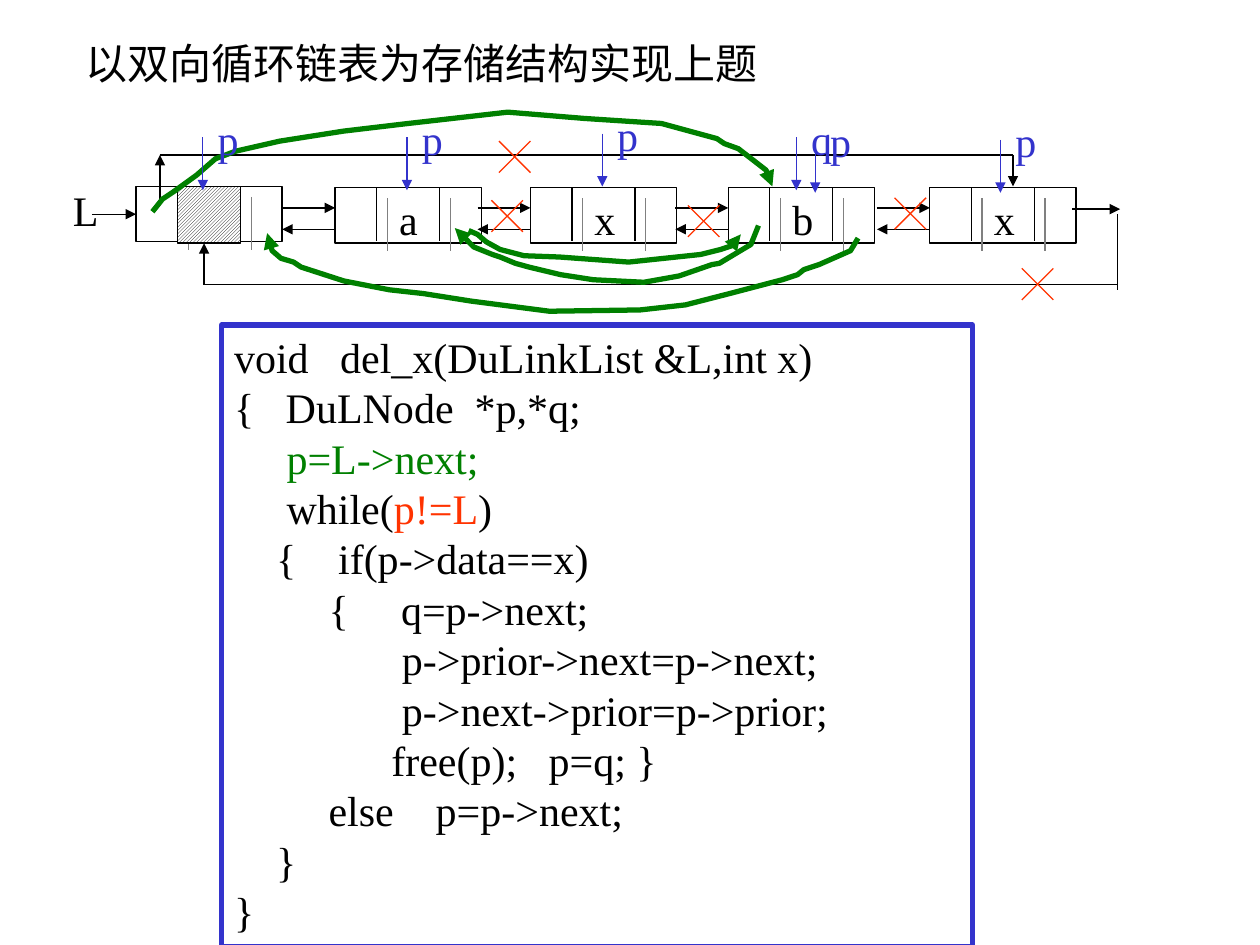
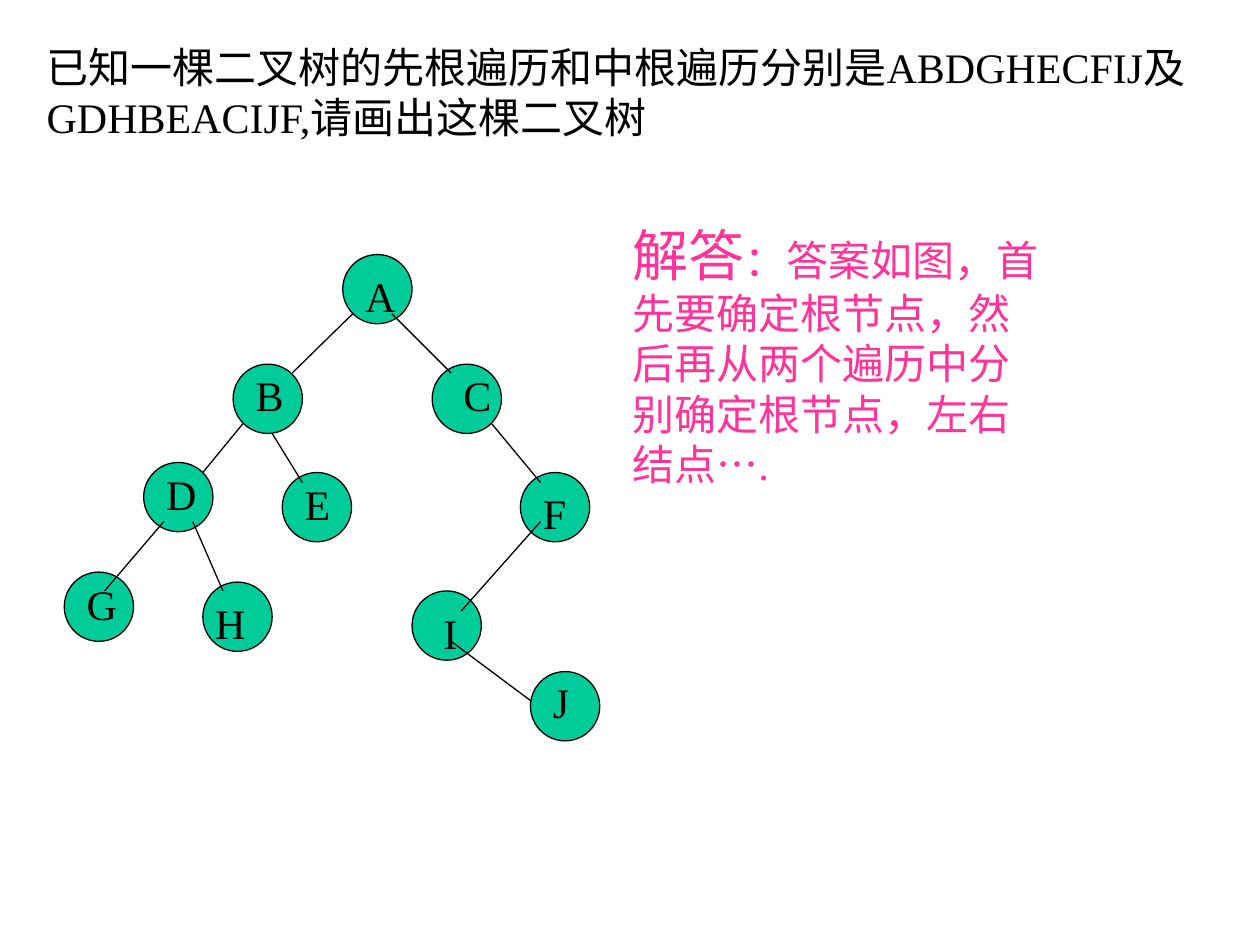
from lxml import etree
from pptx import Presentation
from pptx.dml.color import RGBColor
from pptx.enum.dml import MSO_PATTERN
from pptx.enum.shapes import MSO_CONNECTOR as CONN, MSO_SHAPE as SHAPE
from pptx.enum.text import MSO_ANCHOR as ANCHOR, MSO_AUTO_SIZE as AUTO, PP_ALIGN as ALIGN
from pptx.oxml.ns import qn
from pptx.util import Inches, Pt

BLACK = RGBColor(0x00, 0x00, 0x00)
WHITE = RGBColor(0xFF, 0xFF, 0xFF)
BLUE = RGBColor(0x33, 0x33, 0xCC)
GREEN = RGBColor(0x00, 0x80, 0x00)
RED = RGBColor(0xFF, 0x33, 0x00)
TEAL = RGBColor(0x00, 0xCC, 0x99)
PINK = RGBColor(0xFF, 0x33, 0x99)
FONT = "Times New Roman"
THIN = 0.75

NODE_W, NODE_H = 1.16, 0.44
NODE_TOP = 1.49
LIST_NODES = [("a", 2.66), ("x", 4.21), ("b", 5.78), ("x", 7.38)]
POINTERS = [("p", 1.61, 1.09), ("p", 3.23, 1.09), ("p", 4.78, 1.06),
            ("q", 6.32, 1.09), ("p", 6.47, 1.11), ("p", 7.94, 1.11)]
CUT_LINKS = [(5.46, 1.63), (3.9, 1.59), (8.11, 2.13), (7.1, 1.57), (3.96, 1.12)]
LINKS = [
    ((8.87, 1.7), (8.87, 2.3), False),
    ((8.87, 2.26), (1.62, 2.26), False),
    ((1.62, 2.26), (1.62, 1.93), True),
    ((8.51, 1.66), (8.89, 1.66), True),
    ((1.27, 1.58), (1.27, 1.23), True),
    ((1.27, 1.23), (8.04, 1.23), False),
    ((8.04, 1.23), (8.04, 1.48), True),
]
NEW_LINKS = [
    [(3.72, 1.83), (3.79, 1.86), (3.86, 1.92), (3.97, 1.98), (4.16, 2.03), (4.44, 2.04),
     (4.99, 2.08), (5.56, 2.02), (5.72, 1.98), (5.84, 1.94), (5.88, 1.86)],
    [(6.02, 1.79), (5.96, 1.94), (5.71, 2.09), (5.65, 2.1), (5.39, 2.19), (5.11, 2.24),
     (4.71, 2.22), (4.45, 2.18), (4.2, 2.12), (4.09, 2.09), (3.97, 2.04), (3.91, 2.02),
     (3.86, 2), (3.76, 1.96), (3.61, 1.81)],
    [(6.81, 1.89), (6.75, 1.99), (6.5, 2.1), (6.38, 2.14), (6.33, 2.18), (6.21, 2.22),
     (5.79, 2.33), (5.44, 2.42), (5.08, 2.46), (4.36, 2.47), (3.74, 2.39), (3.36, 2.33),
     (3.09, 2.3), (2.73, 2.23), (2.39, 2.12), (2.33, 2.08), (2.23, 2.05), (2.16, 1.99),
     (2.12, 1.85)],
    [(1.21, 1.68), (1.29, 1.58), (1.38, 1.52), (1.56, 1.39), (1.71, 1.26), (1.87, 1.2),
     (2.22, 1.12), (2.73, 1.04), (3.24, 0.98), (4.03, 0.89), (4.64, 0.94), (5.25, 0.98),
     (5.69, 1.1), (5.75, 1.14), (5.86, 1.18), (6.08, 1.35), (6.13, 1.48)],
]
CODE = [
    "void   del_x(DuLinkList &L,int x)",
    "{   DuLNode  *p,*q;",
    [("     ", BLACK), ("p=L->next;", GREEN)],
    [("     while(", BLACK), ("p!=L", RED), (")", BLACK)],
    "    {    if(p->data==x)",
    "         {     q=p->next;",
    "                p->prior->next=p->next;",
    "                p->next->prior=p->prior;",
    "               free(p);   p=q; }",
    "         else    p=p->next;",
    "    }",
    "}",
]

TREE_D = 0.55
TREE_NODES = {
    "A": ((2.72, 2.02), (2.8, 2.1, 0.31)),
    "B": ((1.85, 2.89), (1.93, 2.88, 0.39)),
    "C": ((3.43, 2.89), (3.58, 2.88, 0.24)),
    "D": ((1.14, 3.67), (1.22, 3.67, 0.55)),
    "E": ((2.24, 3.75), (2.32, 3.75, 0.39)),
    "F": ((4.13, 3.75), (4.21, 3.82, 0.55)),
    "G": ((0.51, 4.54), (0.59, 4.54, 0.47)),
    "H": ((1.61, 4.62), (1.61, 4.69, 0.47)),
    "I": ((3.27, 4.69), (3.42, 4.77, 0.47)),
    "J": ((4.21, 5.33), (4.29, 5.32, 0.39)),
}
TREE_EDGES = [
    ((2.8, 2.49), (2.32, 2.96)), ((1.93, 3.36), (1.61, 3.75)),
    ((1.3, 4.14), (0.83, 4.69)), ((2.16, 3.44), (2.4, 3.83)),
    ((1.53, 4.14), (1.77, 4.69)), ((3.11, 2.49), (3.58, 2.96)),
    ((3.9, 3.36), (4.29, 3.83)), ((4.29, 4.14), (3.66, 4.85)),
    ((3.58, 5.09), (4.21, 5.56)),
]


def write_text(tf, paragraphs, size=24, color=BLACK, align=ALIGN.LEFT,
               anchor=ANCHOR.TOP, wrap=True):
    tf.word_wrap = wrap
    tf.auto_size = AUTO.SHAPE_TO_FIT_TEXT
    tf.vertical_anchor = anchor
    for i, runs in enumerate(paragraphs):
        p = tf.paragraphs[0] if i == 0 else tf.add_paragraph()
        p.alignment = align
        if isinstance(runs, str):
            runs = [(runs, color)]
        for text, run_color, *run_size in runs:
            r = p.add_run()
            r.text = text
            r.font.name = FONT
            r.font.size = Pt(run_size[0] if run_size else size)
            r.font.color.rgb = run_color


class Deck:
    def __init__(self):
        self.prs = Presentation()
        self.prs.slide_width, self.prs.slide_height = Inches(10), Inches(7.5)
        self.s = None

    def slide(self, title, box, wrap=True):
        self.s = self.prs.slides.add_slide(self.prs.slide_layouts[5])
        sp = self.s.shapes.title
        sp.left, sp.top, sp.width, sp.height = map(Inches, box)
        write_text(sp.text_frame, [title], wrap=wrap)

    def text(self, paragraphs, box, **fmt):
        sp = self.s.shapes.add_textbox(*map(Inches, box))
        write_text(sp.text_frame, paragraphs, **fmt)

    def shape(self, kind, box, fill=None, line=BLACK, width=THIN):
        sp = self.s.shapes.add_shape(kind, *map(Inches, box))
        sp.shadow.inherit = False
        if fill is None:
            sp.fill.background()
        else:
            sp.fill.solid()
            sp.fill.fore_color.rgb = fill
        sp.line.color.rgb = line
        sp.line.width = Pt(width)
        return sp

    def arrowhead(self, sp):
        etree.SubElement(sp.line._get_or_add_ln(), qn("a:tailEnd"), type="triangle")

    def line(self, start, end, color=BLACK, arrow=False, shadow=False):
        sp = self.s.shapes.add_connector(CONN.STRAIGHT, *map(Inches, start + end))
        sp.line.color.rgb = color
        sp.line.width = Pt(THIN)
        if arrow:
            self.arrowhead(sp)
        effects = etree.SubElement(sp._element.spPr, qn("a:effectLst"))
        if shadow:
            cast = etree.SubElement(effects, qn("a:outerShdw"), dist=str(Pt(8.5)),
                                    dir="2700000", algn="ctr", rotWithShape="0")
            etree.SubElement(cast, qn("a:srgbClr"), val="808080")
        return sp

    def curve(self, points):
        points = [tuple(map(Inches, point)) for point in points]
        builder = self.s.shapes.build_freeform(*points[0])
        builder.add_line_segments(points[1:], close=False)
        sp = builder.convert_to_shape()
        sp.shadow.inherit = False
        sp.fill.background()
        sp.line.color.rgb = GREEN
        sp.line.width = Pt(3)
        self.arrowhead(sp)

    def list_node(self, left, top=NODE_TOP):
        sp = self.shape(SHAPE.RECTANGLE, (left, top, NODE_W, NODE_H))
        for dx in (0.83, 0.33):
            self.line((left + dx, top), (left + dx, top + 0.42), shadow=True)
        return sp

    def pointer(self, name, x, y):
        self.line((x, y), (x, y + 0.42), color=BLUE, arrow=True)
        self.text([name], (x + 0.02, y - 0.24, 0.34, 0.43), color=BLUE, wrap=False)

    def cross(self, x, y, size=0.25):
        self.line((x + size, y), (x, y + size), color=RED)
        self.line((x, y), (x + size, y + size), color=RED)


def linked_list_slide(deck):
    deck.slide("以双向循环链表为存储结构实现上题", (0.58, 0.25, 5.59, 0.5), wrap=False)
    code = deck.shape(SHAPE.RECTANGLE, (1.76, 2.58, 5.96, 4.93), WHITE, BLUE, 3)
    write_text(code.text_frame, CODE)

    deck.text(["L"], (0.48, 1.41, 0.32, 0.51), align=ALIGN.CENTER, anchor=ANCHOR.MIDDLE)
    for start, end, arrow in LINKS:
        deck.line(start, end, arrow=arrow)
    head = deck.list_node(1.08, 1.48)
    data = deck.shape(SHAPE.RECTANGLE, (1.41, 1.48, 0.5, 0.45))
    data.fill.patterned()
    data.fill.pattern = MSO_PATTERN.DARK_UPWARD_DIAGONAL
    data.fill.fore_color.rgb = BLACK
    data.fill.back_color.rgb = WHITE
    deck.line((0.73, 1.7), (1.08, 1.7), arrow=True).end_connect(head, 1)
    for name, left in LIST_NODES:
        deck.list_node(left)
        deck.text([name], (left + 0.41, NODE_TOP, 0.34, 0.43), wrap=False)
        deck.line((left - 0.42, 1.65), (left, 1.65), arrow=True)
        deck.line((left, 1.82), (left - 0.42, 1.82), arrow=True)

    for points in NEW_LINKS:
        deck.curve(points)
    for pointer in POINTERS:
        deck.pointer(*pointer)
    for corner in CUT_LINKS:
        deck.cross(*corner)


def binary_tree_slide(deck):
    deck.slide("已知一棵二叉树的先根遍历和中根遍历分别是ABDGHECFIJ及GDHBEACIJF,请画出这棵二叉树",
               (0.27, 0.28, 9.45, 0.93))
    for corner, _ in TREE_NODES.values():
        deck.shape(SHAPE.OVAL, corner + (TREE_D, TREE_D), TEAL)
    for start, end in TREE_EDGES:
        deck.line(start, end)
    for name, (_, label) in TREE_NODES.items():
        deck.text([name], label + (0.4,))
    answer = [("解答", PINK, 32),
              ("：答案如图，首先要确定根节点，然后再从两个遍历中分别确定根节点，左右结点….", PINK)]
    deck.text([answer], (4.92, 1.7, 3.46, 1.53))


def main():
    deck = Deck()
    linked_list_slide(deck)
    binary_tree_slide(deck)
    deck.prs.save("out.pptx")


if __name__ == "__main__":
    main()
